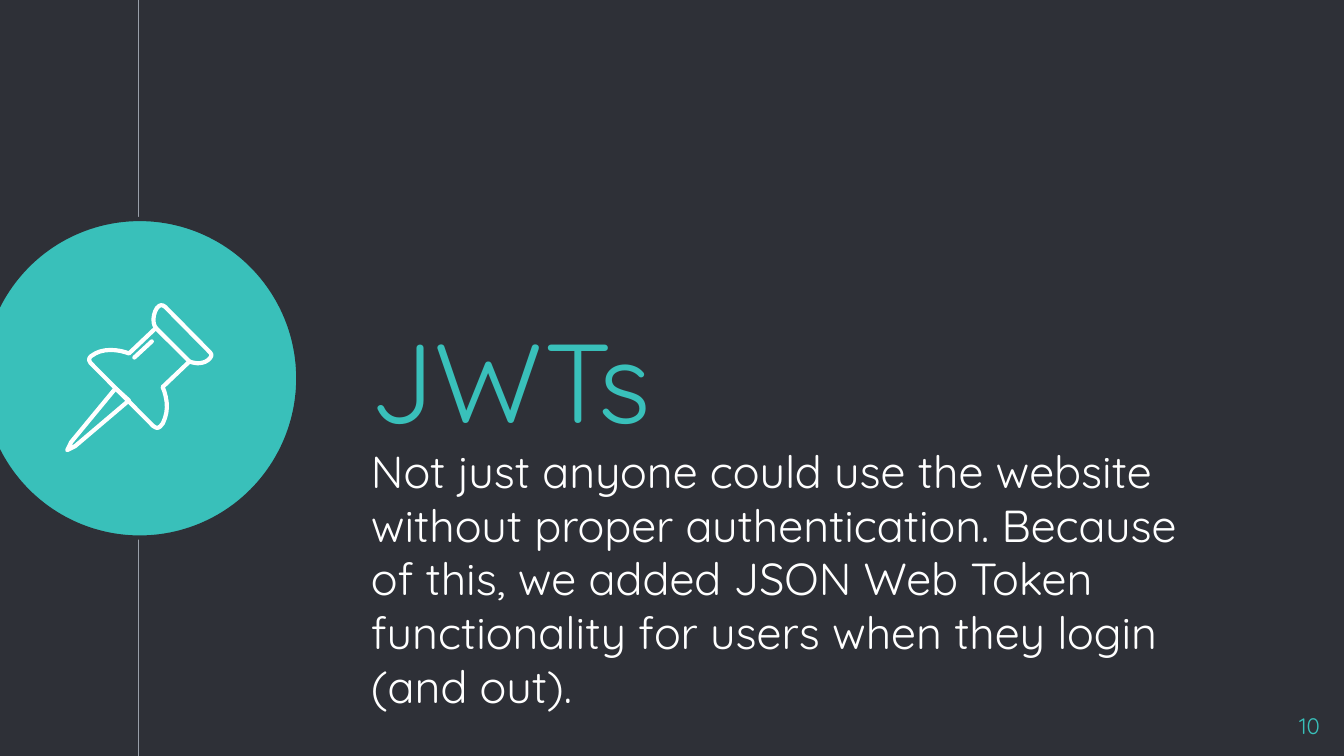
import dataclasses
import typing

import pptx
import pptx.dml.color
import pptx.enum.shapes
import pptx.enum.text
import pptx.oxml
import pptx.oxml.ns
import pptx.util

Inches = pptx.util.Inches
Pt = pptx.util.Pt
RGB = pptx.dml.color.RGBColor
Align = pptx.enum.text.PP_ALIGN
Anchor = pptx.enum.text.MSO_ANCHOR

WIDTH = 10
HEIGHT = WIDTH * 9 / 16


@dataclasses.dataclass(frozen=True)
class Theme:
    """Colours, font and type sizes of the slide."""
    dark: RGB = RGB(0x2E, 0x30, 0x37)
    teal: RGB = RGB(0x39, 0xC0, 0xBA)
    white: RGB = RGB(0xFF, 0xFF, 0xFF)
    grey: RGB = RGB(0x99, 0x9F, 0xA9)
    font: str = "Quicksand"
    title: float = 60
    body: float = 24
    small: float = 12
    thin: float = 0.75
    thick: float = 2.25


class Label(typing.NamedTuple):
    """A text with its box in inches and its look."""
    text: str
    box: tuple
    size: float
    color: RGB
    align: Align = Align.LEFT
    anchor: Anchor = Anchor.TOP
    before: float = 0


class Stroke(typing.NamedTuple):
    """One outline of the pin, in hundredths of an inch."""
    points: tuple
    closed: bool = False


THEME = Theme()
PIN = (
    Stroke(((86, 289), (53, 329), (50, 335), (56, 332), (96, 298)), True),
    Stroke(((116, 244), (141, 269), (143, 269.7), (145, 270.1), (147, 270.3),
            (149, 270.2), (151, 269.8), (153, 269.1), (155, 267.8),
            (156.4, 266.4), (157.2, 265), (157.2, 263.6), (156.4, 262.3),
            (123, 228.4), (121.5, 227.4), (120, 227.1), (118.5, 227.6),
            (116.8, 229.2), (115.5, 231.6), (114.6, 234.5), (114.2, 237.5),
            (114.4, 240.3), (115, 242.3)), True),
    Stroke(((116, 244), (96, 263), (93.3, 262.1), (90, 261.2), (86, 260.6),
            (82, 260.4), (78, 260.7), (74.5, 261.5), (71, 262.9),
            (67.5, 265.2), (66.5, 266.5), (66.3, 268), (67.3, 270),
            (114, 317), (116, 318.2), (117.7, 318.3), (119.3, 317.3),
            (121.3, 314.8), (122.8, 311), (123.8, 307), (124.2, 303),
            (124, 299), (123.3, 295), (122.3, 291.3), (121, 288),
            (141, 269))),
    Stroke(((100, 266), (113, 254))),
)


def apply(item: typing.Any, values: dict) -> None:
    """Set each named attribute of an item."""
    for name, value in values.items():
        setattr(item, name, value)


def place(shape: typing.Any, box: tuple) -> None:
    """Move and size a shape to a box in inches."""
    names = ("left", "top", "width", "height")
    apply(shape, dict(zip(names, map(Inches, box))))


def write(shape: typing.Any, label: Label) -> None:
    """Place and format a label in a text shape."""
    place(shape, label.box)
    frame = shape.text_frame
    frame.text = label.text
    sides = ("left", "top", "right", "bottom")
    apply(frame, {f"margin_{side}": Inches(0.1) for side in sides})
    apply(frame, {"word_wrap": True, "vertical_anchor": label.anchor,
                  "auto_size": pptx.enum.text.MSO_AUTO_SIZE.NONE})
    para = frame.paragraphs[0]
    apply(para, {"alignment": label.align, "line_spacing": 1.0,
                 "space_before": Pt(label.before)})
    font = para.runs[0].font
    apply(font, {"name": THEME.font, "size": Pt(label.size), "bold": False})
    font.color.rgb = label.color


def edge(shape: typing.Any, color: RGB, width: float) -> None:
    """Give a shape a solid line."""
    shape.line.color.rgb = color
    shape.line.width = Pt(width)


def rule(slide: typing.Any, x: float) -> None:
    """Draw the upright line down the slide."""
    line = slide.shapes.add_connector(
        pptx.enum.shapes.MSO_CONNECTOR.STRAIGHT,
        Inches(x), 0, Inches(x), Inches(HEIGHT))
    edge(line, THEME.grey, THEME.thin)
    props = line._element.spPr
    props.append(pptx.oxml.parse_xml(
        f'<a:effectLst {pptx.oxml.ns.nsdecls("a")}/>'))


def disc(slide: typing.Any, box: tuple) -> None:
    """Draw the teal circle behind the pin."""
    shape = slide.shapes.add_shape(
        pptx.enum.shapes.MSO_SHAPE.OVAL, *map(Inches, box))
    shape.shadow.inherit = False
    shape.fill.solid()
    shape.fill.fore_color.rgb = THEME.teal
    edge(shape, THEME.dark, THEME.thick)


def draw(slide: typing.Any, stroke: Stroke) -> None:
    """Draw one outline of the pin with round ends and corners."""
    first, *rest = [(x * 10, y * 10) for x, y in stroke.points]
    build = slide.shapes.build_freeform(*first, scale=Inches(1) / 1000)
    build.add_line_segments(rest, close=stroke.closed)
    shape = build.convert_to_shape()
    shape.shadow.inherit = False
    shape.fill.background()
    edge(shape, THEME.white, THEME.thick)
    line = shape.line._get_or_add_ln()
    line.set("cap", "rnd")
    line.append(pptx.oxml.parse_xml(
        f'<a:round {pptx.oxml.ns.nsdecls("a")}/>'))


def main() -> None:
    """Build and save the slide."""
    deck = pptx.Presentation()
    apply(deck, {"slide_width": Inches(WIDTH),
                 "slide_height": Inches(HEIGHT)})
    slide = deck.slides.add_slide(deck.slide_layouts[0])
    back = slide.background.fill
    back.solid()
    back.fore_color.rgb = THEME.dark

    rule(slide, 1.03)
    disc(slide, (-0.14, 1.63, 2.36, 2.37))
    write(slide.shapes.title, Label(
        "JWTs", (2.66, 2.18, 6.59, 1.27), THEME.title, THEME.teal,
        anchor=Anchor.MIDDLE))
    write(slide.placeholders[1], Label(
        "Not just anyone could use the website without proper "
        "authentication. Because of this, we added JSON Web Token "
        "functionality for users when they login (and out).",
        (2.66, 3.2, 6.59, 2.16), THEME.body, THEME.white, before=6))
    for stroke in PIN:
        draw(slide, stroke)
    page = slide.shapes.add_textbox(0, 0, 0, 0)
    write(page, Label("10", (9.32, 5.2, 0.6, 0.34), THEME.small,
                      THEME.teal, Align.RIGHT))
    deck.save("out.pptx")


main()
